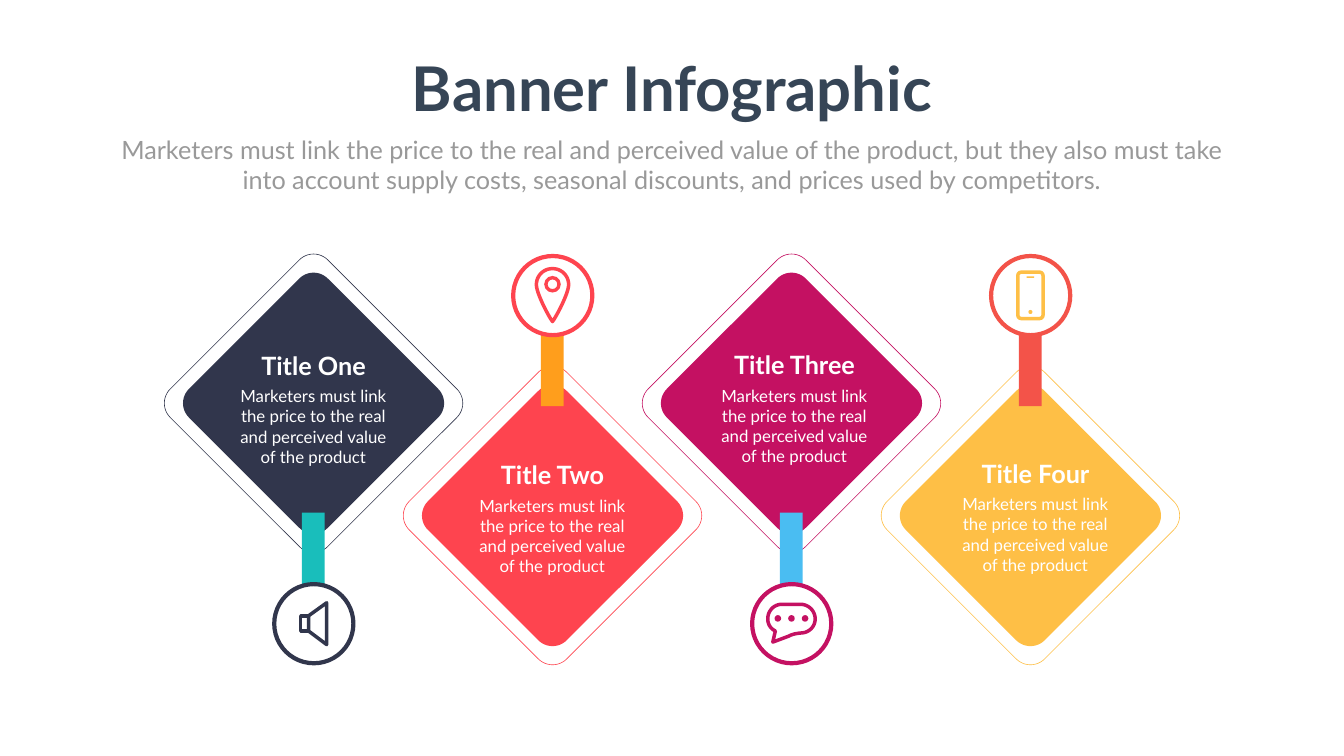
import math
import pptx
import pptx.util
import pptx.dml.color
import pptx.enum.shapes
import pptx.enum.text

RGB = pptx.dml.color.RGBColor
WHITE = RGB(0xFF, 0xFF, 0xFF)
SLATE = RGB(0x36, 0x45, 0x56)
GREY = RGB(0x99, 0x99, 0x99)
NAVY = RGB(0x31, 0x36, 0x4C)
RED = RGB(0xFE, 0x44, 0x4F)
PINK = RGB(0xC4, 0x11, 0x62)
GOLD = RGB(0xFE, 0xBF, 0x46)
TEAL = RGB(0x19, 0xBE, 0xBB)
AMBER = RGB(0xFF, 0x9E, 0x1C)
BLUE = RGB(0x4A, 0xBD, 0xF2)
CORAL = RGB(0xF3, 0x53, 0x49)
KIND = pptx.enum.shapes.MSO_SHAPE
UNIT = pptx.util.Inches(1)
STROKE = 5

deck = pptx.Presentation()
deck.slide_width = pptx.util.Inches(26.66)
deck.slide_height = pptx.util.Inches(15)
slide = deck.slides.add_slide(deck.slide_layouts[6])
shapes = slide.shapes


def paint(shape, fill, line=None, width=0):
    shape.shadow.inherit = False
    if fill is None:
        shape.fill.background()
    else:
        shape.fill.solid()
        shape.fill.fore_color.rgb = fill
    if line is None:
        shape.line.fill.background()
    else:
        shape.line.color.rgb = line
        shape.line.width = pptx.util.Pt(width)
    return shape


def bend(a, b, c, d):
    steps = [n / 12 for n in range(13)]
    return [tuple((1 - t) ** 3 * p + 3 * t * (1 - t) ** 2 * q
                  + 3 * t * t * (1 - t) * r + t ** 3 * s
                  for p, q, r, s in zip(a, b, c, d)) for t in steps]


pin = (bend((-.32, -.21), (-.32, -.39), (-.18, -.53), (0, -.53))
       + bend((0, -.53), (.18, -.53), (.32, -.39), (.32, -.21))
       + bend((.32, -.21), (.32, -.05), (.09, .4), (0, .52))
       + bend((0, .52), (-.09, .4), (-.32, -.05), (-.32, -.21)))
bubble = (bend((.18, -.38), (.34, -.38), (.47, -.25), (.47, -.09))
          + bend((.47, -.09), (.47, .07), (.34, .19), (.18, .19))
          + bend((.18, .19), (.08, .2), (0, .22), (-.05, .25))
          + [(-.37, .37)]
          + bend((-.32, .15), (-.42, .1), (-.47, .01), (-.47, -.09))
          + bend((-.47, -.09), (-.47, -.25), (-.35, -.38), (-.19, -.38)))
horn = [(-.1, -.15), (.26, -.41), (.26, .42), (-.1, .15)]

cards = [
    ("Title One", NAVY, TEAL, NAVY, 1, horn,
     [(KIND.RECTANGLE, -.18, 0, .15, .3, None)]),
    ("Title Two", RED, AMBER, RED, -1, pin,
     [(KIND.DONUT, 0, -.22, .33, .33, RED)]),
    ("Title Three", PINK, BLUE, PINK, 1, bubble,
     [(KIND.OVAL, x, -.1, .13, .13, PINK) for x in (-.27, 0, .27)]),
    ("Title Four", GOLD, CORAL, CORAL, -1, [],
     [(KIND.ROUNDED_RECTANGLE, 0, 0, .5, .92, None),
      (KIND.OVAL, 0, .33, .08, .08, GOLD),
      (KIND.RECTANGLE, 0, -.36, .15, .03, GOLD)]),
]
tops = [6.9, 9.07, 6.89, 9.04]
shifts = [0, 0, .06, .1]
note = "Marketers must link the price to the real and perceived value of the product"
labels = [
    (7.94, .95, 10.78, 1.58, "Banner Infographic", 88, SLATE, True),
    (2.22, 2.62, 22.21, 1.31,
     "Marketers must link the price to the real and perceived value of the "
     "product, but they also must take into account supply costs, seasonal "
     "discounts, and prices used by competitors.", 36, GREY, False),
]

for col, (title, tone, stem, ring, way, icon, parts) in enumerate(cards):
    mid = 6.22 + 4.74 * col
    row = 8 if way > 0 else 10.23
    hub = row + 4.37 * way
    forms = []
    for reach, fill, line in ((2.56, None, tone), (2.19, tone, None)):
        edge = []
        for turn in range(4):
            for step in range(13):
                angle = math.radians(90 * turn - 45 + 7.5 * step)
                edge.append((reach * math.cos(turn * math.pi / 2) + .4 * math.cos(angle),
                             reach * math.sin(turn * math.pi / 2) + .4 * math.sin(angle)))
        forms.append((edge, row, fill, line, .88))
    if icon:
        forms.append((icon, hub, None, tone, STROKE))
    for rank, (edge, base, fill, line, width) in enumerate(forms):
        if rank == 2:
            break
        dots = [((mid + x) * UNIT, (base + y) * UNIT) for x, y in edge]
        path = shapes.build_freeform(*dots[0])
        path.add_line_segments(dots[1:])
        paint(path.convert_to_shape(), fill, line, width)
    top = min(row + 2.17 * way, hub)
    paint(shapes.add_shape(KIND.RECTANGLE, *[int(v * UNIT) for v in
          (mid - .23, top, .45, 2.2)]), stem)
    paint(shapes.add_shape(KIND.OVAL, *[int(v * UNIT) for v in
          (mid - .78, hub - .78, 1.57, 1.57)]), WHITE, ring, 6)
    if icon:
        dots = [((mid + x) * UNIT, (hub + y) * UNIT) for x, y in icon]
        path = shapes.build_freeform(*dots[0])
        path.add_line_segments(dots[1:])
        paint(path.convert_to_shape(), None, tone, STROKE)
    for kind, x, y, wide, high, fill in parts:
        part = shapes.add_shape(kind, *[int(v * UNIT) for v in
                                (mid + x - wide / 2, hub + y - high / 2, wide, high)])
        paint(part, fill, None if fill else tone, STROKE)
        if kind == KIND.DONUT:
            part.adjustments[0] = .21
        elif kind == KIND.ROUNDED_RECTANGLE:
            part.adjustments[0] = .13
    wide = 2.95 if col == 2 else 2.61
    high = tops[col]
    head = mid + shifts[col]
    labels += [
        (head - wide / 2, high, wide, .71, title, 36, WHITE, True),
        (mid - 1.68 + (.06 if col == 2 else .1 if col == 3 else 0),
         high + .71, 3.35, 1.72, note, 24, WHITE, False),
    ]

for left, top, wide, high, words, size, tone, bold in labels:
    box = shapes.add_textbox(*[int(v * UNIT) for v in (left, top, wide, high)])
    frame = box.text_frame
    frame.word_wrap = size != 88
    para = frame.paragraphs[0]
    para.alignment = pptx.enum.text.PP_ALIGN.CENTER
    run = para.add_run()
    run.text = words
    run.font.name = "Lato"
    run.font.size = pptx.util.Pt(size)
    run.font.bold = bold
    run.font.color.rgb = tone

deck.save("out.pptx")
